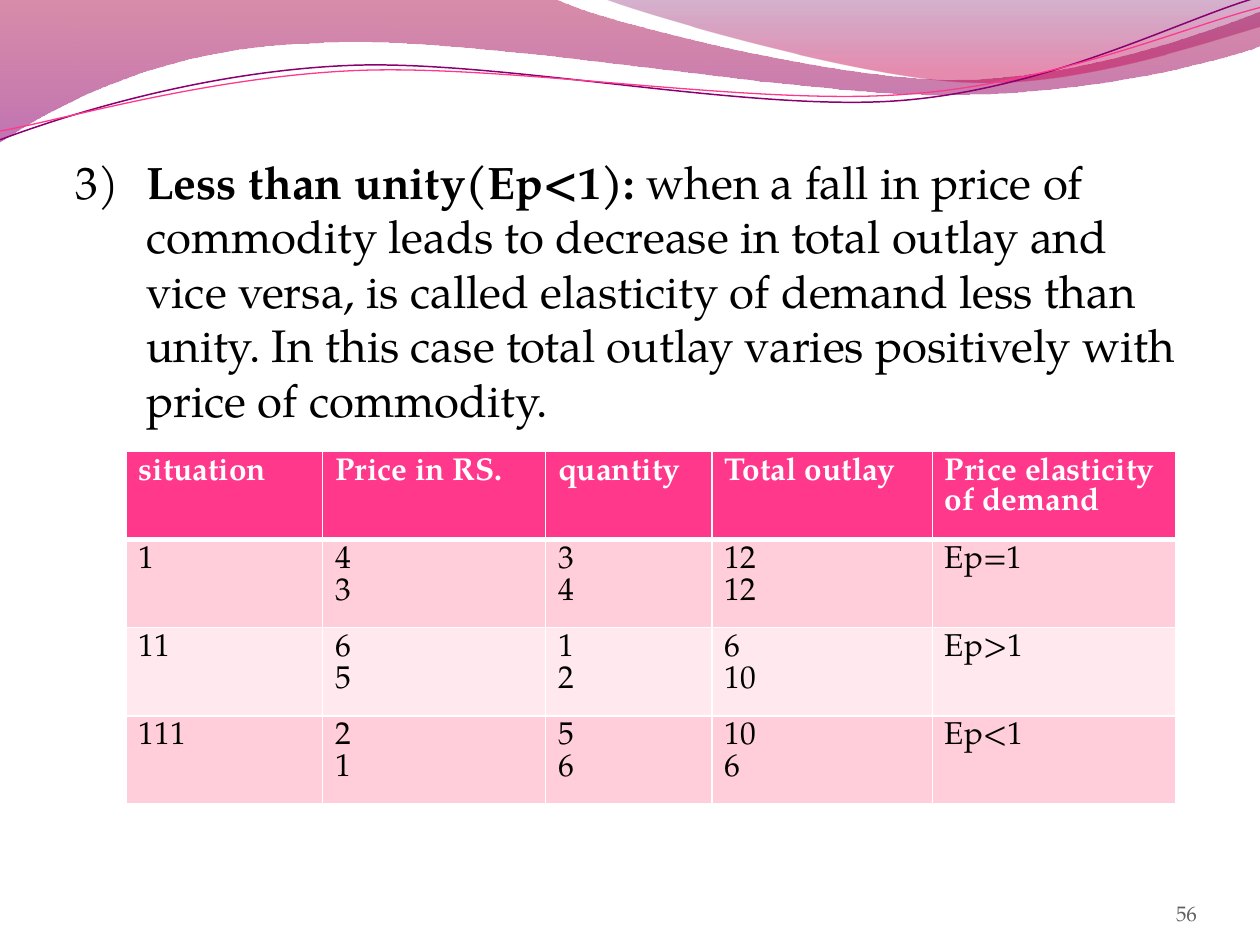
from lxml.etree import SubElement
from pptx import Presentation
from pptx.dml.color import RGBColor
from pptx.enum.text import MSO_ANCHOR, MSO_AUTO_SIZE, PP_ALIGN
from pptx.oxml.ns import qn
from pptx.util import Inches, Pt

# ---- Content ----
BODY = [
    ("3)\t", False),
    ("Less than unity(Ep<1): ", True),
    ("when a fall in price of commodity leads to decrease in total outlay and "
     "vice versa, is called elasticity of demand less than unity. In this case "
     "total outlay varies positively with price of commodity.", False),
]
HEADER = ["situation", "Price in RS.", "quantity", "Total outlay",
          "Price elasticity of demand"]
ROWS = [
    ["1", "4\n3", "3\n4", "12\n12", "Ep=1"],
    ["11", "6\n5", "1\n2", "6\n10", "Ep>1"],
    ["111", "2\n1", "5\n6", "10\n6", "Ep<1"],
]
COL_WIDTHS = [1.56, 1.77, 1.32, 1.75, 1.93]
PAGE = "56"

THEME = dict(font="TeX Gyre Pagella", text="000000", muted="616161",
             white="FFFFFF", accent="FF388C", bands=("FFCEDA", "FFE8EE"),
             body=26, cell=18, page=12)

# Wave outlines: a start point, then 2-number lines and 6-number curves
BANDS = [
    dict(start=(0, 0), steps=[
        (4.4, -0.01), (4.76, 0.17, 6.64, 0.63, 7.58, 0.63),
        (8.53, 0.63, 9.58, 0.26, 10, 0.09), (10.01, 0.36),
        (9.83, 0.44, 8.7, 0.76, 7.46, 0.75),
        (6.22, 0.75, 3.82, 0.28, 2.57, 0.34),
        (1.29, 0.36, 0.46, 0.83, -0.01, 1.13), (0, 0)],
        stops=[(0, "A90042", 45), (1, "8E0073", 55)]),
    dict(start=(4.79, -0.01), steps=[
        (5.09, 0.11, 6.82, 0.62, 7.69, 0.65),
        (8.56, 0.69, 9.61, 0.32, 10, 0.21), (10, 0), (4.79, -0.01)],
        stops=[(0, "73005E", 30), (0.8, "C9004F", 45)]),
]
STRANDS = [
    dict(start=(0, 1.11), steps=[
        (0.48, 0.93, 1.58, 0.57, 2.77, 0.52),
        (3.95, 0.47, 5.93, 0.89, 7.13, 0.8),
        (8.33, 0.71, 9.38, 0.15, 9.98, -0.02)], line=("8A0070", 0.85)),
    dict(start=(0, 1.04), steps=[
        (0.47, 0.96, 1.64, 0.61, 2.83, 0.56),
        (4.03, 0.51, 5.97, 0.84, 7.17, 0.75),
        (8.36, 0.67, 9.41, 0.21, 10, 0.06)], line=("FF388C", 0.75)),
]


# ---- Helpers ----
def rgb(value):
    return RGBColor.from_string(value)


def add_text(p, text, size=18, color=THEME["text"], bold=False):
    r = p.add_run()
    r.text = text
    r.font.name, r.font.size, r.font.bold = THEME["font"], Pt(size), bold
    r.font.color.rgb = rgb(color)


def add_outline(shapes, start, steps, close):
    """Freeform whose 6-number steps become cubic curves."""
    points = [(Inches(x), Inches(y)) for step in steps
              for x, y in zip(step[::2], step[1::2])]
    fb = shapes.build_freeform(Inches(start[0]), Inches(start[1]))
    fb.add_line_segments(points, close=close)
    sp = fb.convert_to_shape()
    segments = iter(list(sp._element.iter(qn("a:lnTo"))))
    for step in steps:
        first = next(segments)
        if len(step) == 6:
            first.tag = qn("a:cubicBezTo")
            for extra in (next(segments), next(segments)):
                first.append(extra[0])
                extra.getparent().remove(extra)
    return sp


def add_wave(shapes, start, steps, stops=None, line=None):
    sp = add_outline(shapes, start, steps, close=stops is not None)
    sp.shadow.inherit = False
    if line:
        sp.fill.background()
        sp.line.color.rgb, sp.line.width = rgb(line[0]), Pt(line[1])
        return
    sp.line.fill.background()
    sp.fill.gradient()
    sp.fill.gradient_angle = 270
    for stop, (position, color, _) in zip(sp.fill.gradient_stops, stops):
        stop.position, stop.color.rgb = position, rgb(color)
    for clr, (_, _, alpha) in zip(sp._element.iter(qn("a:srgbClr")), stops):
        SubElement(clr, qn("a:alpha")).set("val", str(alpha * 1000))


def set_borders(cell, top, bottom):
    tcPr = cell._tc.get_or_add_tcPr()
    for i, (side, width) in enumerate(
            [("L", 1), ("R", 1), ("T", top), ("B", bottom)]):
        ln = tcPr.makeelement(qn("a:ln" + side), {"w": str(Pt(width))})
        fill = SubElement(ln, qn("a:solidFill"))
        SubElement(fill, qn("a:srgbClr")).set("val", THEME["white"])
        tcPr.insert(i, ln)


def main():
    prs = Presentation()
    prs.slide_width, prs.slide_height = Inches(10), Inches(7.5)
    slide = prs.slides.add_slide(prs.slide_layouts[1])
    title = slide.shapes.title._element
    title.getparent().remove(title)

    # Waves across the top
    for wave in BANDS + STRANDS:
        add_wave(slide.shapes, **wave)

    # Definition
    body = slide.placeholders[1]
    body.left, body.top = Inches(0.5), Inches(1.17)
    body.width, body.height = Inches(9), Inches(5.75)
    body.text_frame.auto_size = MSO_AUTO_SIZE.NONE
    p = body.text_frame.paragraphs[0]
    pPr = p._p.get_or_add_pPr()
    pPr.set("marL", str(Inches(0.56)))
    pPr.set("indent", str(-Inches(0.56)))
    SubElement(pPr, qn("a:buNone"))
    p.space_before = Pt(0)
    for text, bold in BODY:
        add_text(p, text, size=THEME["body"], bold=bold)

    # Page number
    tf = slide.shapes.add_textbox(Inches(8.67), Inches(6.95), Inches(0.83),
                                  Inches(0.4)).text_frame
    tf.word_wrap, tf.vertical_anchor = True, MSO_ANCHOR.BOTTOM
    tf.margin_left = tf.margin_right = tf.margin_top = tf.margin_bottom = 0
    tf.paragraphs[0].alignment = PP_ALIGN.RIGHT
    add_text(tf.paragraphs[0], PAGE, size=THEME["page"], color=THEME["muted"])

    # Outlay table
    grid = [HEADER] + ROWS
    table = slide.shapes.add_table(
        len(grid), len(HEADER), Inches(1), Inches(3.58),
        Inches(sum(COL_WIDTHS)), Inches(0.6 * len(grid))).table
    for col, width in zip(table.columns, COL_WIDTHS):
        col.width = Inches(width)
    table.rows[0].height = Inches(0.58)
    for i, row in enumerate(grid):
        head = i == 0
        for j, text in enumerate(row):
            cell = table.cell(i, j)
            cell.fill.solid()
            cell.fill.fore_color.rgb = rgb(
                THEME["accent"] if head else THEME["bands"][(i - 1) % 2])
            set_borders(cell, top=3 if i == 1 else 1, bottom=3 if head else 1)
            tf = cell.text_frame
            for k, line in enumerate(text.split("\n")):
                p = tf.add_paragraph() if k else tf.paragraphs[0]
                add_text(p, line, size=THEME["cell"], bold=head,
                         color=THEME["white"] if head else THEME["text"])

    prs.save("out.pptx")


if __name__ == "__main__":
    main()
